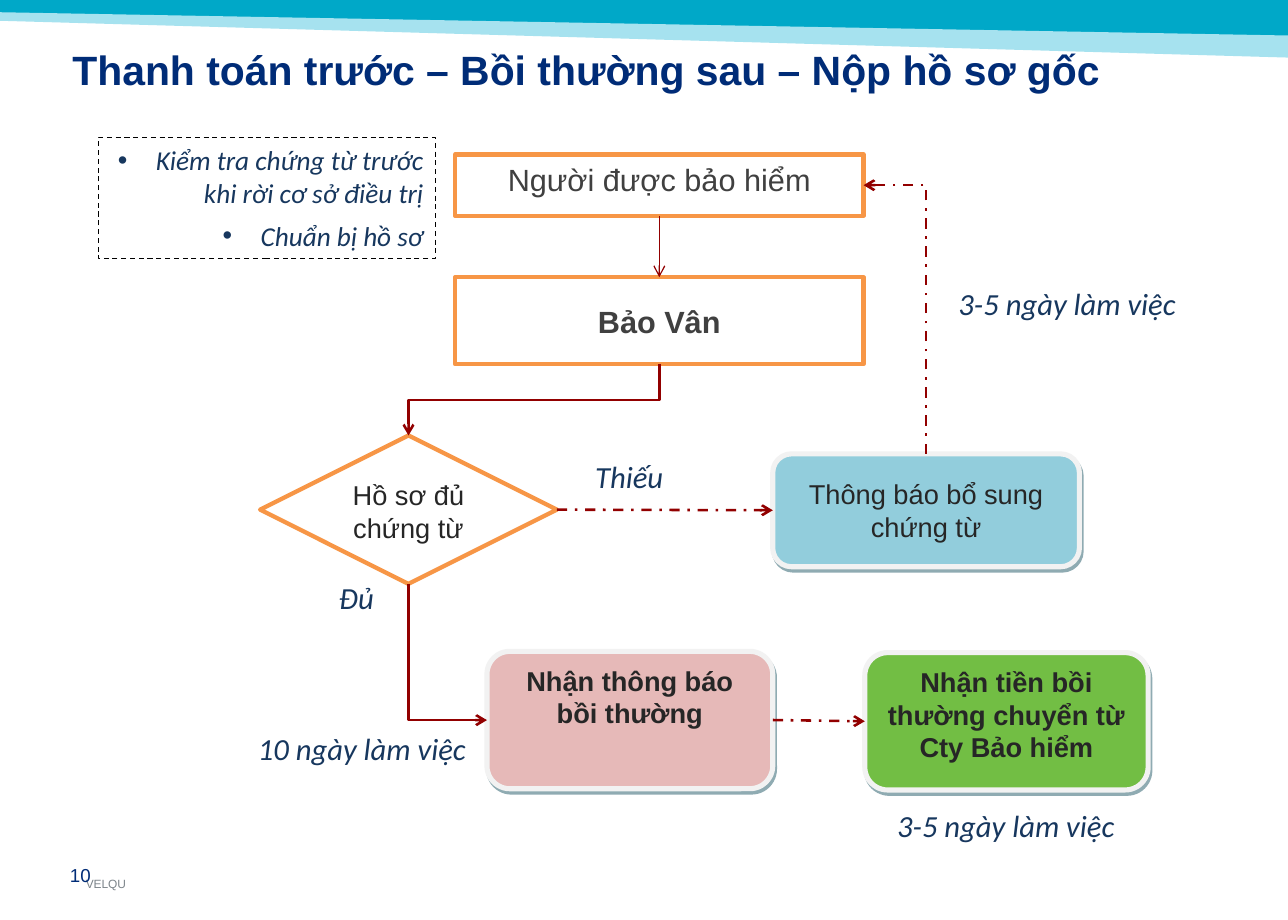
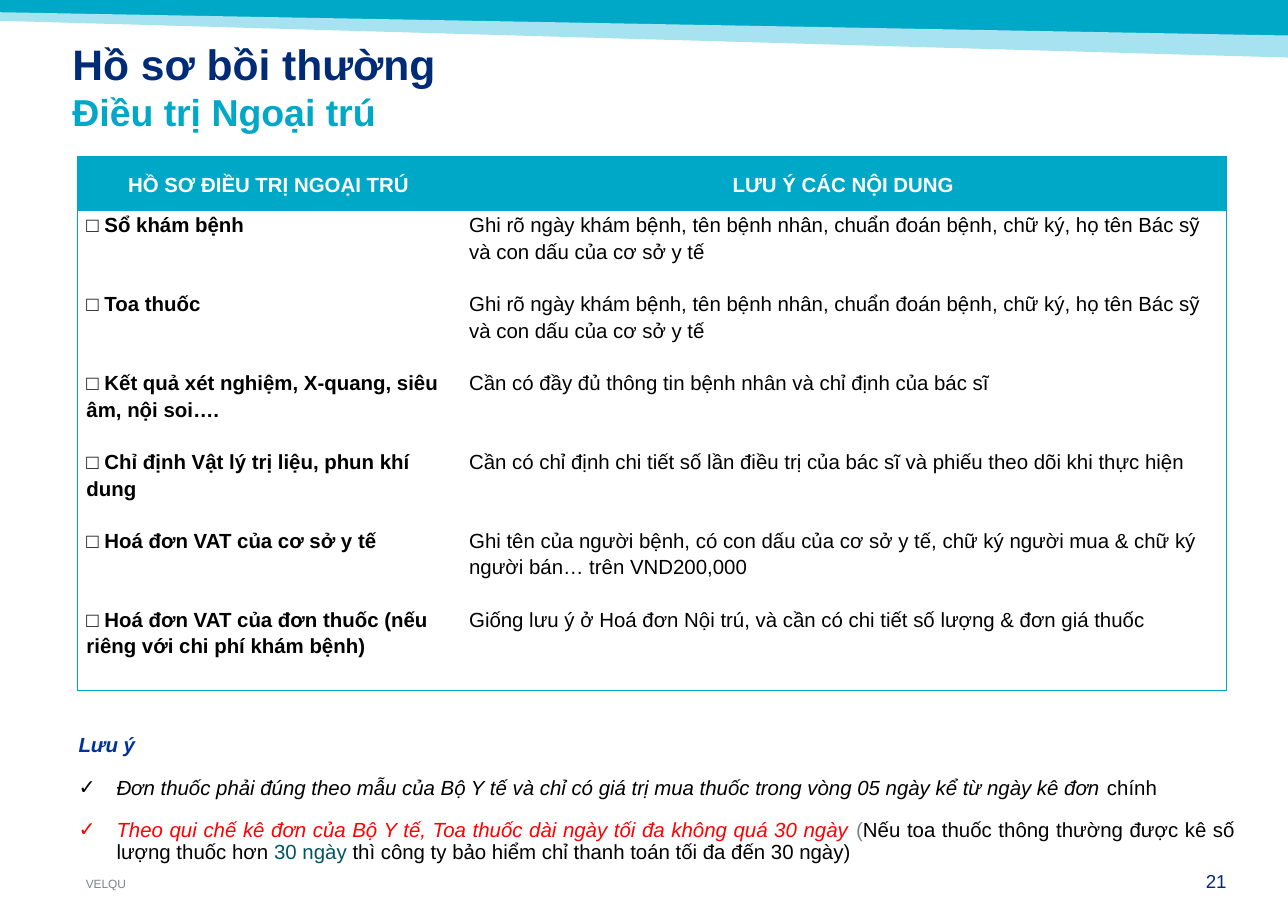
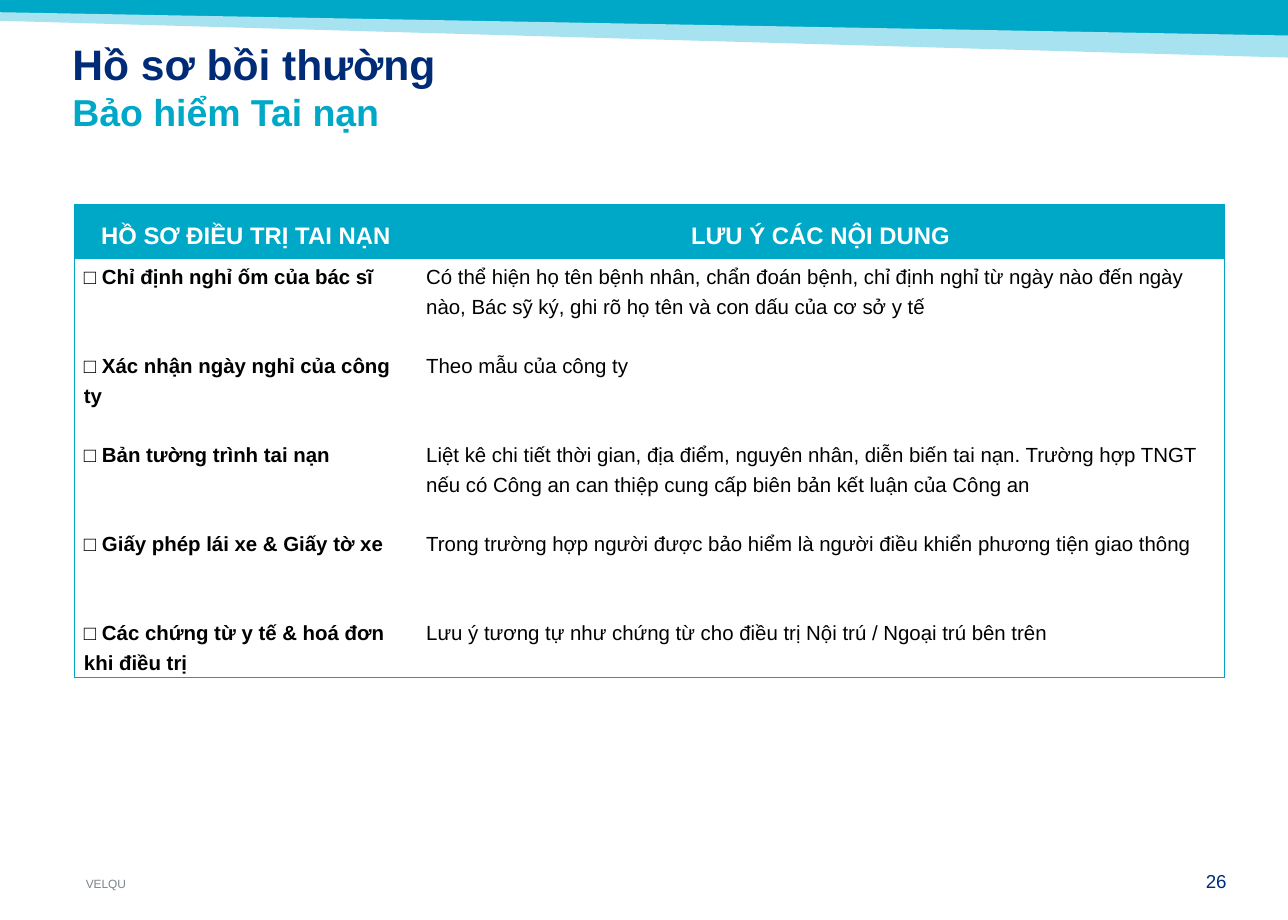
from dataclasses import dataclass
from lxml.etree import SubElement
from pptx import Presentation
from pptx.dml.color import RGBColor
from pptx.enum.dml import MSO_LINE
from pptx.enum.shapes import MSO_CONNECTOR, MSO_SHAPE
from pptx.enum.text import MSO_ANCHOR, MSO_AUTO_SIZE, PP_ALIGN
from pptx.oxml.ns import qn
from pptx.util import Emu, Inches, Pt

TOP, LEFT, BOTTOM, RIGHT = range(4)


@dataclass(frozen=True)
class Theme:
    """Colours, fonts and type sizes of the deck."""
    navy: str = "002C77"
    teal: str = "00A8C8"
    pale_teal: str = "A6E2EF"
    frame: str = "00A4C4"
    orange: str = "F79646"
    arrow: str = "920000"
    note: str = "17375E"
    white: str = "FFFFFF"
    black: str = "000000"
    grey: str = "7C848A"
    edge: str = "F2F2F2"
    shade: str = "205867"
    charcoal: str = "404040"
    ink: str = "262626"
    rose: str = "E6B9B8"
    sky: str = "92CDDC"
    green: str = "72BE44"
    red: str = "FF0000"
    petrol: str = "005464"
    royal: str = "003399"
    face: str = "Arial"
    note_face: str = "Calibri"
    heading: float = 25
    subheading: float = 22
    long_heading: float = 24
    large: float = 18
    medium: float = 16
    small: float = 12
    page: float = 11
    footer: float = 7


THEME = Theme()


def rgb(color):
    """Turn a hex string into a colour."""
    return RGBColor.from_string(color)


def cells(count):
    """Convert grid steps of a tenth of an inch to a length."""
    return Emu(round(count * Inches(0.1)))


def write(paragraph, text, *, size, color, bold=False, italic=False, face=THEME.face):
    """Append formatted text to a paragraph."""
    run = paragraph.add_run()
    run.text = text
    run.font.size, run.font.name = Pt(size), face
    run.font.bold, run.font.italic = bold, italic
    run.font.color.rgb = rgb(color)


def hang(paragraph, margin, indent, bullet=None):
    """Set the indents of a paragraph and its bullet."""
    properties = paragraph._p.get_or_add_pPr()
    properties.set("marL", str(cells(margin)))
    properties.set("indent", str(cells(indent)))
    if bullet:
        SubElement(properties, qn("a:buFont"), typeface=THEME.face)
        SubElement(properties, qn("a:buChar"), char=bullet)
    else:
        SubElement(properties, qn("a:buNone"))


def prepare(frame, anchor=MSO_ANCHOR.TOP, inset=True, wrap=True):
    """Set how a text frame holds its text and return its first paragraph."""
    frame.auto_size = MSO_AUTO_SIZE.NONE
    frame.word_wrap, frame.vertical_anchor = wrap, anchor
    side, edge = (cells(1), cells(0.5)) if inset else (0, 0)
    frame.margin_left = frame.margin_right = side
    frame.margin_top = frame.margin_bottom = edge
    return frame.paragraphs[0]


def add_color(parent, color):
    """Add a solid hex colour element."""
    return SubElement(parent, qn("a:srgbClr"), val=color)


class Deck:
    """Holds the style and the current slide."""

    def __init__(self, theme):
        """Open an empty presentation on the grid."""
        self.theme = theme
        self.presentation = Presentation()
        self.presentation.slide_width = cells(105)
        self.presentation.slide_height = cells(75)
        self.slide = None

    def start(self, layout, headings, row, page, page_col=95.1, page_row=70.9):
        """Add a slide with its title lines and page number."""
        first = self.slide is None
        self.slide = self.presentation.slides.add_slide(
            self.presentation.slide_layouts[layout])
        if first:
            self.dress_master()
        title = self.slide.shapes.title
        self.place(title, 4.9, row, 95, 8.6)
        line = prepare(title.text_frame)
        for order, (text, size, color) in enumerate(headings):
            line = title.text_frame.add_paragraph() if order else line
            line.alignment = PP_ALIGN.LEFT
            write(line, text, size=size, color=color, bold=True)
        self.label(page, page_col, page_row, 4.9, 1.8, align=PP_ALIGN.RIGHT,
                   inset=False, size=self.theme.page, color=self.theme.navy)

    def dress_master(self):
        """Put the bands and the footer on the slide master."""
        t = self.theme
        shared = [
            self.band([(0, 0), (105, 0), (105, 3.2), (0, 1.2)], t.teal),
            self.band([(0, 1), (105, 2.9), (105, 4.7), (0, 1.7)], t.pale_teal),
            self.label("VELQU", 7, 71.5, 31.6, 1.1, align=PP_ALIGN.LEFT, inset=False,
                       anchor=MSO_ANCHOR.BOTTOM, size=t.footer, color=t.grey),
        ]
        tree = self.presentation.slide_master.shapes.element
        for order, part in enumerate(shared):
            part.element.nvSpPr.cNvPr.set("id", str(100 + order))
            tree.insert(2 + order, part.element)

    def place(self, shape, col, row, cols, rows):
        """Move a shape to a grid area."""
        shape.left, shape.top = cells(col), cells(row)
        shape.width, shape.height = cells(cols), cells(rows)

    def band(self, corners, color):
        """Draw a filled outline through grid points."""
        start, *rest = [(cells(x), cells(y)) for x, y in corners]
        builder = self.slide.shapes.build_freeform(*start)
        builder.add_line_segments(rest, close=True)
        shape = builder.convert_to_shape()
        shape.shadow.inherit = False
        shape.fill.solid()
        shape.fill.fore_color.rgb = rgb(color)
        shape.line.fill.background()
        return shape

    def label(self, text, col, row, cols, rows, *, align=PP_ALIGN.CENTER,
              anchor=MSO_ANCHOR.TOP, inset=True, wrap=True, **style):
        """Add a free line of text."""
        box = self.slide.shapes.add_textbox(*map(cells, (col, row, cols, rows)))
        line = prepare(box.text_frame, anchor, inset, wrap)
        line.alignment = align
        write(line, text, **style)
        return box

    def step(self, text, preset, col, row, cols, rows, *, fill=None, line,
             width=2.5, dash=None, anchor=MSO_ANCHOR.TOP, raised=False, **style):
        """Add a flowchart shape with centred text."""
        shape = self.slide.shapes.add_shape(preset, *map(cells, (col, row, cols, rows)))
        shape.shadow.inherit = False
        if fill:
            shape.fill.solid()
            shape.fill.fore_color.rgb = rgb(fill)
        else:
            shape.fill.background()
        shape.line.color.rgb, shape.line.width = rgb(line), Pt(width)
        if dash:
            shape.line.dash_style = dash
        if raised:
            effects = shape.element.spPr.find(qn("a:effectLst"))
            shadow = SubElement(effects, qn("a:outerShdw"), blurRad="0",
                                dist=str(Pt(2.2)), dir=str(63 * 60000),
                                algn="ctr", rotWithShape="0")
            SubElement(add_color(shadow, self.theme.shade), qn("a:alpha"), val="50000")
        paragraph = prepare(shape.text_frame, anchor)
        paragraph.alignment = PP_ALIGN.CENTER
        if text:
            write(paragraph, text, **style)
        return shape

    def checklist(self, items, col, row, cols, rows):
        """Add a dashed box with right-aligned bullets."""
        t = self.theme
        box = self.step("", MSO_SHAPE.RECTANGLE, col, row, cols, rows,
                        line=t.black, width=0.75, dash=MSO_LINE.DASH)
        for order, item in enumerate(items):
            line = box.text_frame.add_paragraph() if order else box.text_frame.paragraphs[0]
            line.alignment = PP_ALIGN.RIGHT
            if order:
                line.space_before = Pt(6)
            hang(line, 3.1, -3.1, "•")
            write(line, item, size=t.medium, color=t.note, italic=True, face=t.note_face)

    def link(self, source, out_side, target, in_side, *, bend=None, width=1.5, dashed=False):
        """Join two shapes by an arrow, straight or leaving vertically with bends."""
        kind = MSO_CONNECTOR.ELBOW if bend else MSO_CONNECTOR.STRAIGHT
        arrow = self.slide.shapes.add_connector(kind, 0, 0, 0, 0)
        arrow.begin_connect(source, out_side)
        arrow.end_connect(target, in_side)
        properties = arrow.element.spPr
        if bend:
            self.turn(arrow, properties, bend)
        arrow.line.color.rgb, arrow.line.width = rgb(self.theme.arrow), Pt(width)
        if dashed:
            arrow.line.dash_style = MSO_LINE.DASH_DOT
        SubElement(properties.find(qn("a:ln")), qn("a:tailEnd"), type="arrow")
        SubElement(properties, qn("a:effectLst"))

    def turn(self, arrow, properties, bend):
        """Rotate an elbow so that its first leg is vertical."""
        across, down = arrow.end_x - arrow.begin_x, arrow.end_y - arrow.begin_y
        middle_x = (arrow.begin_x + arrow.end_x) // 2
        middle_y = (arrow.begin_y + arrow.end_y) // 2
        frame = properties.find(qn("a:xfrm"))
        for flip in ("flipH", "flipV"):
            frame.attrib.pop(flip, None)
        frame.set("rot", str((90 if down > 0 else 270) * 60000))
        if across * down > 0:
            frame.set("flipV", "1")
        arrow.width, arrow.height = Emu(abs(down)), Emu(abs(across))
        arrow.left = Emu(middle_x - abs(down) // 2)
        arrow.top = Emu(middle_y - abs(across) // 2)
        properties.find(qn("a:prstGeom")).set("prst", bend)

    def table(self, headers, columns, col, row, widths, body_rows, *, spacing, header_size):
        """Add a framed table whose items carry the blank lines that follow them."""
        t = self.theme
        grid = self.slide.shapes.add_table(
            2, 2, *map(cells, (col, row, sum(widths), 4.4 + body_rows))).table
        grid.first_row = grid.horz_banding = False
        grid.rows[0].height, grid.rows[1].height = cells(4.4), cells(body_rows)
        for index, width in enumerate(widths):
            grid.columns[index].width = cells(width)
            head, body = grid.cell(0, index), grid.cell(1, index)
            self.dress_cell(head, t.teal, MSO_ANCHOR.MIDDLE, {"L": index == 0, "R": index == 1, "T": True})
            self.dress_cell(body, t.white, MSO_ANCHOR.TOP, {"L": index == 0, "R": index == 1, "B": True})
            title = head.text_frame.paragraphs[0]
            title.alignment, title.line_spacing = PP_ALIGN.CENTER, spacing
            write(title, headers[index], size=header_size, color=t.white, bold=True)
            for order, (item, gap) in enumerate(columns[index]):
                line = body.text_frame.add_paragraph() if order else body.text_frame.paragraphs[0]
                line.alignment, line.line_spacing = PP_ALIGN.LEFT, spacing
                line.space_after = Pt(round(gap * spacing * 13.42, 1))
                write(line, item, size=t.small, color=t.black, bold=index == 0)

    def dress_cell(self, cell, fill, anchor, framed):
        """Set the fill, margins and outer borders of a cell."""
        cell.vertical_anchor = anchor
        cell.margin_left = cell.margin_right = cells(0.75)
        cell.margin_top = cell.margin_bottom = 0
        cell.fill.solid()
        cell.fill.fore_color.rgb = rgb(fill)
        properties = cell._tc.get_or_add_tcPr()
        for order, side in enumerate("LRTB"):
            border = SubElement(properties, qn(f"a:ln{side}"), w=str(Pt(0.75)))
            if framed.get(side):
                add_color(SubElement(border, qn("a:solidFill")), self.theme.frame)
            else:
                SubElement(border, qn("a:noFill"))
            properties.insert(order, border)

    def remarks(self, heading, points, col, row, cols, rows):
        """Fill the body placeholder with a heading and ticked points."""
        t = self.theme
        body = self.slide.placeholders[1]
        self.place(body, col, row, cols, rows)
        line = prepare(body.text_frame, inset=False)
        line.line_spacing = 0.86
        line.space_before = Pt(0)
        hang(line, 2.5, 0)
        write(line, heading, size=t.small, color=t.royal, bold=True, italic=True)
        for point in points:
            line = body.text_frame.add_paragraph()
            line.line_spacing, line.space_before = 0.9, Pt(6)
            hang(line, 5.6, -3.1, "✓")
            for text, color, italic in point:
                write(line, text, size=t.small, color=color, italic=italic)
        for line in body.text_frame.paragraphs:
            line.alignment, line.space_after = PP_ALIGN.JUSTIFY, Pt(6)


def claim_flow(deck):
    """Build the flowchart of a claim."""
    t = deck.theme
    deck.start(5, [("Thanh toán trước – Bồi thường sau – Nộp hồ sơ gốc", t.long_heading, t.navy)],
               3.1, "10", 2.5, 70.4)
    deck.checklist(["Kiểm tra chứng từ trước khi rời cơ sở điều trị", "Chuẩn bị hồ sơ"],
                   8, 11.2, 27.5, 9.9)
    outlined = dict(fill=t.white, line=t.orange)
    raised = dict(line=t.edge, width=3, raised=True, size=t.medium, color=t.ink)
    insured = deck.step("Người được bảo hiểm", MSO_SHAPE.RECTANGLE, 37.1, 12.6, 33.3, 5,
                        size=t.large, color=t.charcoal, **outlined)
    insurer = deck.step("Bảo Vân", MSO_SHAPE.RECTANGLE, 37.1, 22.6, 33.3, 7.1,
                        anchor=MSO_ANCHOR.MIDDLE, size=t.large, color=t.charcoal,
                        bold=True, **outlined)
    check = deck.step("Hồ sơ đủ chứng từ", MSO_SHAPE.DIAMOND, 21.2, 35.5, 24.2, 12.1,
                      size=t.medium, color=t.ink, **outlined)
    request = deck.step("Thông báo bổ sung chứng từ", MSO_SHAPE.ROUNDED_RECTANGLE,
                        63, 37, 25, 9.2, fill=t.sky, anchor=MSO_ANCHOR.MIDDLE, **raised)
    notice = deck.step("Nhận thông báo bồi thường", MSO_SHAPE.ROUNDED_RECTANGLE,
                       39.7, 53.1, 23.3, 11.2, fill=t.rose, bold=True, **raised)
    payment = deck.step("Nhận tiền bồi thường chuyển từ Cty Bảo hiểm", MSO_SHAPE.ROUNDED_RECTANGLE,
                        70.5, 53.2, 23.1, 11.2, fill=t.green, bold=True, **raised)

    deck.link(insured, BOTTOM, insurer, TOP, width=0.75)
    deck.link(insurer, BOTTOM, check, TOP, bend="bentConnector3")
    deck.link(check, RIGHT, request, LEFT, dashed=True)
    deck.link(request, TOP, insured, RIGHT, bend="bentConnector2", dashed=True)
    deck.link(check, BOTTOM, notice, LEFT, bend="bentConnector2")
    deck.link(notice, RIGHT, payment, LEFT, dashed=True)

    for text, col, row, cols, wrap in [
        ("Đủ", 26.6, 46.7, 4.9, False),
        ("Thiếu", 47.5, 36.8, 7.6, False),
        ("3-5 ngày làm việc", 77, 22.7, 20, True),
        ("10 ngày làm việc", 19.4, 59, 20.2, True),
        ("3-5 ngày làm việc", 72, 65.3, 20, True),
    ]:
        deck.label(text, col, row, cols, 4, wrap=wrap, size=t.large, color=t.note,
                   italic=True, face=t.note_face)


def outpatient_papers(deck):
    """Build the table of outpatient papers."""
    t = deck.theme
    deck.start(1, [("Hồ sơ bồi thường", t.heading, t.navy),
                   ("Điều trị Ngoại trú", t.subheading, t.teal)], 2.6, "21")
    record = ("Ghi rõ ngày khám bệnh, tên bệnh nhân, chuẩn đoán bệnh, chữ ký, họ tên Bác sỹ "
              "và con dấu của cơ sở y tế")
    papers = [
        ("□ Sổ khám bệnh", 2),
        ("□ Toa thuốc", 2),
        ("□ Kết quả xét nghiệm, X-quang, siêu âm, nội soi….", 1),
        ("□ Chỉ định Vật lý trị liệu, phun khí dung", 1),
        ("□ Hoá đơn VAT của cơ sở y tế", 2),
        ("□ Hoá đơn VAT của đơn thuốc (nếu riêng với chi phí khám bệnh)", 0),
    ]
    advice = [
        (record, 1),
        (record, 1),
        ("Cần có đầy đủ thông tin bệnh nhân và chỉ định của bác sĩ", 2),
        ("Cần có chỉ định chi tiết số lần điều trị của bác sĩ và phiếu theo dõi khi thực hiện", 2),
        ("Ghi tên của người bệnh, có con dấu của cơ sở y tế, chữ ký người mua & chữ ký "
         "người bán… trên VND200,000", 1),
        ("Giống lưu ý ở Hoá đơn Nội trú, và cần có chi tiết số lượng & đơn giá thuốc", 0),
    ]
    deck.table(["HỒ SƠ ĐIỀU TRỊ NGOẠI TRÚ", "LƯU Ý CÁC NỘI DUNG"], [papers, advice],
               6.3, 12.8, [31.2, 62.5], 39.1, spacing=1.15, header_size=t.small)
    deck.remarks("Lưu ý", [
        [("Đơn thuốc phải đúng theo mẫu của Bộ Y tế và chỉ có giá trị mua thuốc trong vòng "
          "05 ngày kể từ ngày kê đơn ", t.black, True), ("chính", t.black, False)],
        [("Theo qui chế kê đơn của Bộ Y tế, Toa thuốc dài ngày tối đa không quá 30 ngày ", t.red, True),
         ("(", t.grey, False),
         ("Nếu toa thuốc thông thường được kê số lượng thuốc hơn ", t.black, False),
         ("30 ngày ", t.petrol, False),
         ("thì công ty bảo hiểm chỉ thanh toán tối đa đến 30 ngày)", t.black, False)],
    ], 3.9, 60, 96.8, 13.7)


def accident_papers(deck):
    """Build the table of accident papers."""
    t = deck.theme
    deck.start(5, [("Hồ sơ bồi thường", t.heading, t.navy),
                   ("Bảo hiểm Tai nạn", t.subheading, t.teal)], 2.6, "26")
    papers = [
        ("□ Chỉ định nghỉ ốm của bác sĩ", 2),
        ("□ Xác nhận ngày nghỉ của công ty", 1),
        ("□ Bản tường trình tai nạn", 2),
        ("□ Giấy phép lái xe & Giấy tờ xe", 2),
        ("□ Các chứng từ y tế & hoá đơn khi điều trị", 0),
    ]
    advice = [
        ("Có thể hiện họ tên bệnh nhân, chẩn đoán bệnh, chỉ định nghỉ từ ngày nào đến ngày "
         "nào, Bác sỹ ký, ghi rõ họ tên và con dấu của cơ sở y tế", 1),
        ("Theo mẫu của công ty", 2),
        ("Liệt kê chi tiết thời gian, địa điểm, nguyên nhân, diễn biến tai nạn. Trường hợp TNGT "
         "nếu có Công an can thiệp cung cấp biên bản kết luận của Công an", 1),
        ("Trong trường hợp người được bảo hiểm là người điều khiển phương tiện giao thông", 2),
        ("Lưu ý tương tự như chứng từ cho điều trị Nội trú / Ngoại trú bên trên", 0),
    ]
    deck.table(["HỒ SƠ ĐIỀU TRỊ TAI NẠN", "LƯU Ý CÁC NỘI DUNG"], [papers, advice],
               6.1, 16.7, [27.9, 65.8], 34.1, spacing=1.3, header_size=14)


def main():
    """Build and save the three slides."""
    deck = Deck(THEME)
    claim_flow(deck)
    outpatient_papers(deck)
    accident_papers(deck)
    deck.presentation.save("out.pptx")


if __name__ == "__main__":
    main()
